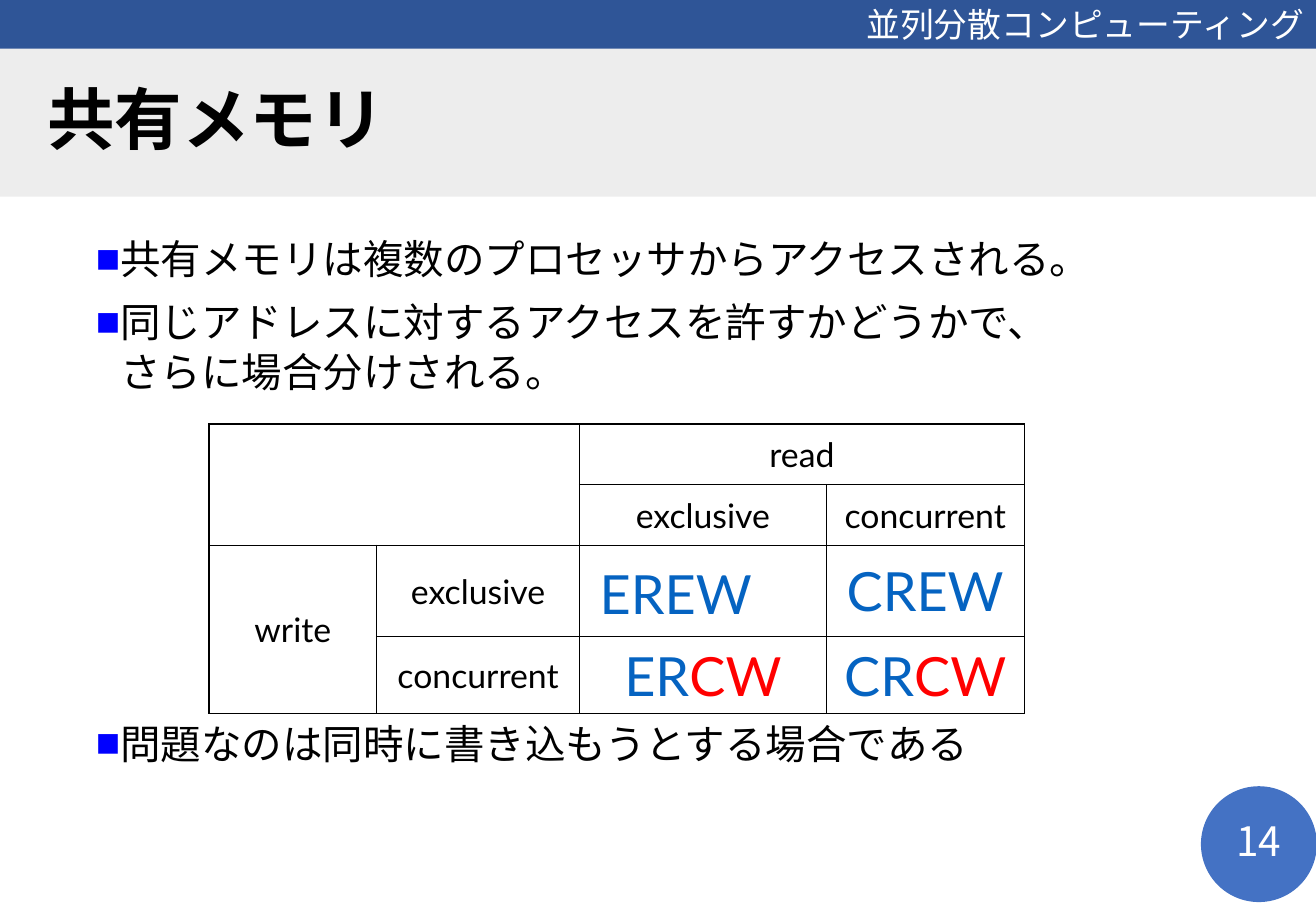
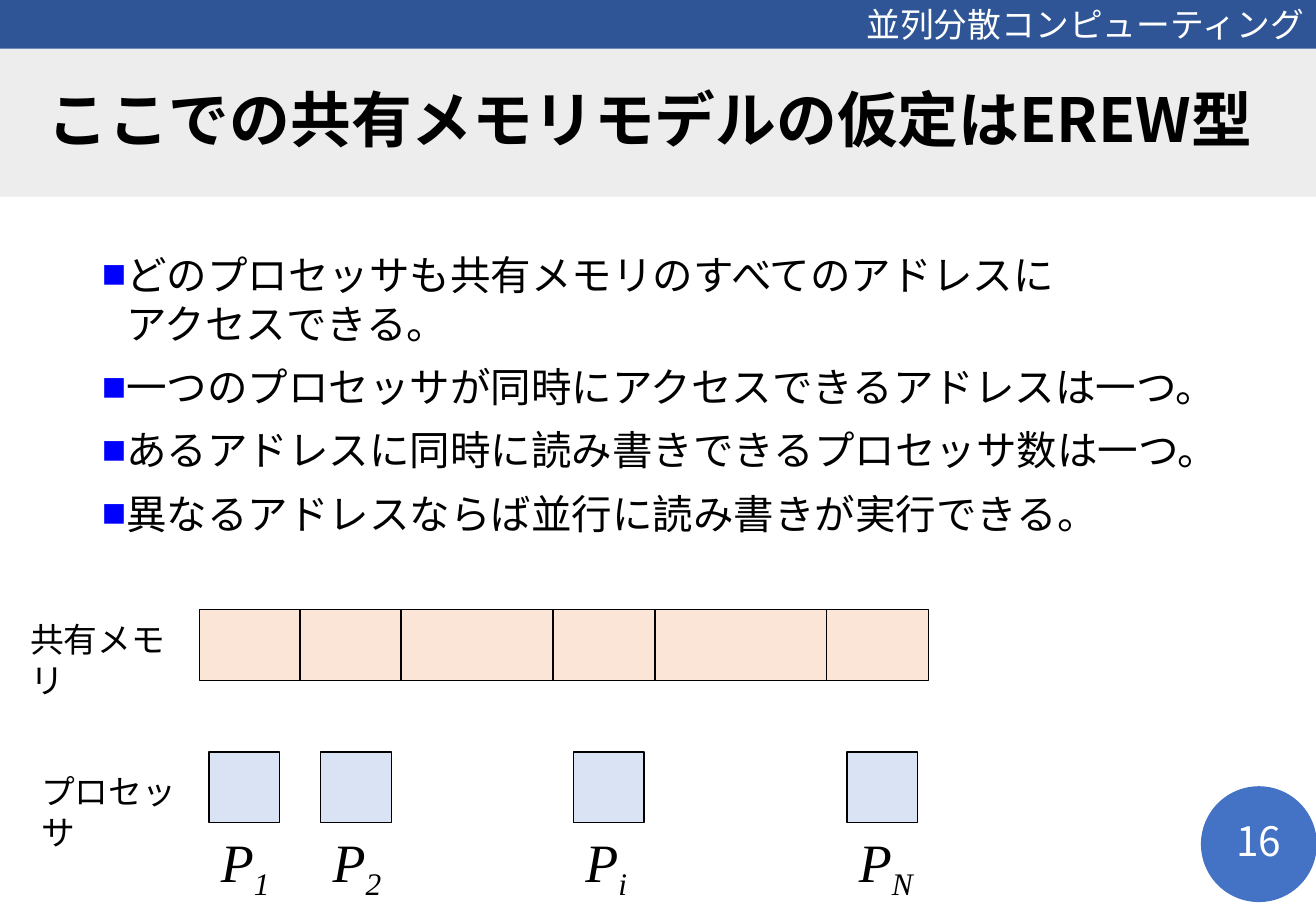
"""Two slides on shared memory models in parallel computing."""
from lxml import etree
from pptx import Presentation
from pptx import util as u
from pptx.dml.color import RGBColor
from pptx.enum import shapes, text
from pptx.oxml import ns

In = u.Inches
GOTHIC, LATIN, SERIF = "Noto Sans CJK JP", "Lato", "Times New Roman"
BLACK, WHITE, BLUE, RED = "000000", "FFFFFF", "0563C1", "FF0000"
LEFT, CENTER, RIGHT = text.PP_ALIGN.LEFT, text.PP_ALIGN.CENTER, text.PP_ALIGN.RIGHT
RECT, OVAL = shapes.MSO_SHAPE.RECTANGLE, shapes.MSO_SHAPE.OVAL


def write(paragraph, runs, size, font, align=LEFT, bold=False, italic=False):
    """Add (words, colour) runs to a paragraph; a newline is a line break."""
    paragraph.alignment = align
    for words, color in runs:
        for number, line in enumerate(words.split("\n")):
            if number:
                paragraph.add_line_break()
            run = paragraph.add_run()
            run.text = line
            run.font.size = u.Pt(size)
            run.font.name = font
            run.font.bold, run.font.italic = bold, italic
            run.font.color.rgb = RGBColor.from_string(color)
            east_asian = etree.SubElement(run._r.get_or_add_rPr(), ns.qn("a:ea"))
            east_asian.set("typeface", GOTHIC)


def box(slide, place, kind=None, fill=None, line=None, weight=0.75):
    """Add a preset shape, or a text box when no kind is given."""
    place = [In(length) for length in place]
    if kind is None:
        shape = slide.shapes.add_textbox(*place)
    else:
        shape = slide.shapes.add_shape(kind, *place)
        shape.shadow.inherit = False
        shape.fill.solid()
        shape.fill.fore_color.rgb = RGBColor.from_string(fill)
        if line:
            shape.line.color.rgb = RGBColor.from_string(line)
            shape.line.width = u.Pt(weight)
        else:
            shape.line.fill.background()
        shape.text_frame.vertical_anchor = text.MSO_ANCHOR.MIDDLE
    shape.text_frame.word_wrap = True
    return shape


prs = Presentation()
prs.slide_width, prs.slide_height = In(10.83), In(7.5)

pages = [
    ("共有メモリ", 40, "14", [
        ((0.69, 1.87, 9.46, 1.5), [
            "共有メモリは複数のプロセッサからアクセスされる。",
            "同じアドレスに対するアクセスを許すかどうかで、\nさらに場合分けされる。"]),
        ((0.69, 5.86, 9.46, 0.55), ["問題なのは同時に書き込もうとする場合である"])]),
    ("ここでの共有メモリモデルの仮定はEREW型", 36, "16", [
        ((0.74, 2, 9.79, 2.6), [
            "どのプロセッサも共有メモリのすべてのアドレスに\nアクセスできる。",
            "一つのプロセッサが同時にアクセスできるアドレスは一つ。",
            "あるアドレスに同時に読み書きできるプロセッサ数は一つ。",
            "異なるアドレスならば並行に読み書きが実行できる。"])]),
]

for title, title_size, page_number, bullet_groups in pages:
    slide = prs.slides.add_slide(prs.slide_layouts[6])
    box(slide, (9.89, 6.48, 0.94, 0.94), OVAL, "4472C4", "4472C4", 1)
    course_band = box(slide, (0, -0.02, 10.83, 0.44), RECT, "2F5597")
    write(course_band.text_frame.paragraphs[0],
          [("並列分散コンピューティング", WHITE)], 20, LATIN, RIGHT)
    title_band = box(slide, (0, 0.4, 10.83, 1.22), RECT, "EDEDED")
    title_band.text_frame.margin_left = In(0.39)
    heading = title_band.text_frame.paragraphs[0]
    heading.line_spacing = 0.9
    write(heading, [(title, BLACK)], title_size, GOTHIC, bold=True)

    for place, bullets in bullet_groups:
        frame = box(slide, place).text_frame
        for number, bullet in enumerate(bullets):
            item = frame.add_paragraph() if number else frame.paragraphs[0]
            props = item._p.get_or_add_pPr()
            props.set("marL", str(In(0.2)))
            props.set("indent", str(-In(0.2)))
            marker_color = etree.SubElement(props, ns.qn("a:buClr"))
            etree.SubElement(marker_color, ns.qn("a:srgbClr")).set("val", "0000FF")
            etree.SubElement(props, ns.qn("a:buFont")).set("typeface", "Arial")
            etree.SubElement(props, ns.qn("a:buChar")).set("char", "■")
            item.line_spacing = u.Pt(29.3)
            if number:
                item.space_before = u.Pt(8.1)
            write(item, [(bullet, BLACK)], 24, GOTHIC)

    number_box = box(slide, (9.89, 6.72, 0.94, 0.4))
    number_box.text_frame.vertical_anchor = text.MSO_ANCHOR.MIDDLE
    write(number_box.text_frame.paragraphs[0], [(page_number, WHITE)], 24, GOTHIC, CENTER)

access_slide, model_slide = prs.slides

access = access_slide.shapes.add_table(4, 4, In(1.72), In(3.49), In(6.71), In(2.38)).table
access.first_row = access.horz_banding = False
for column, width in zip(access.columns, (1.38, 1.67, 2.03, 1.63)):
    column.width = In(width)
for row, height in zip(access.rows, (0.5, 0.5, 0.75, 0.63)):
    row.height = In(height)
for top, left, bottom, right in ((0, 0, 1, 1), (0, 2, 0, 3), (2, 0, 3, 0)):
    access.cell(top, left).merge(access.cell(bottom, right))

for cell in access.iter_cells():
    cell.fill.background()
    for order, side in enumerate(("a:lnL", "a:lnR", "a:lnT", "a:lnB")):
        border = etree.Element(ns.qn(side), w=str(u.Pt(1)))
        ink = etree.SubElement(border, ns.qn("a:solidFill"))
        etree.SubElement(ink, ns.qn("a:srgbClr")).set("val", BLACK)
        cell._tc.get_or_add_tcPr().insert(order, border)

entries = {
    (0, 2): (20, [("read", BLACK)]),
    (1, 2): (20, [("exclusive", BLACK)]),
    (1, 3): (20, [("concurrent", BLACK)]),
    (2, 0): (20, [("write", BLACK)]),
    (2, 1): (20, [("exclusive", BLACK)]),
    (3, 1): (20, [("concurrent", BLACK)]),
    (2, 2): (32, [("EREW　", BLUE)]),
    (2, 3): (32, [("CREW", BLUE)]),
    (3, 2): (32, [("ER", BLUE), ("CW", RED)]),
    (3, 3): (32, [("CR", BLUE), ("CW", RED)]),
}
for (row, column), (size, runs) in entries.items():
    cell = access.cell(row, column)
    cell.vertical_anchor = text.MSO_ANCHOR.MIDDLE
    write(cell.text_frame.paragraphs[0], runs, size, LATIN, CENTER)

for label, place in (("共有メモリ", (0.15, 5.04, 1.54, 0.76)),
                     ("プロセッサ", (0.24, 6.29, 1.43, 0.76))):
    caption = box(model_slide, place).text_frame.paragraphs[0]
    caption.line_spacing = u.Pt(24.3)
    write(caption, [(label, BLACK)], 20, SERIF)

box(model_slide, (1.64, 5.02, 6, 0.58), RECT, "FBE5D6", BLACK)
for x in (2.47, 3.3, 4.55, 5.39, 6.8):
    divider = model_slide.shapes.add_connector(
        shapes.MSO_CONNECTOR.STRAIGHT, In(x), In(5.02), In(x), In(5.6))
    divider.line.color.rgb = RGBColor.from_string(BLACK)
    divider.line.width = u.Pt(0.75)
    etree.SubElement(divider._element.spPr, ns.qn("a:effectLst"))

for index, x in (("1", 1.72), ("2", 2.64), ("i", 4.72), ("N", 6.97)):
    box(model_slide, (x, 6.19, 0.58, 0.58), RECT, "DAE3F3", BLACK)
    processor = box(model_slide, (x, 6.77, 0.73, 0.64)).text_frame.paragraphs[0]
    write(processor, [("P", BLACK), (index, BLACK)], 32, SERIF, italic=True)
    processor.runs[1]._r.get_or_add_rPr().set("baseline", "-25000")

prs.save("out.pptx")
